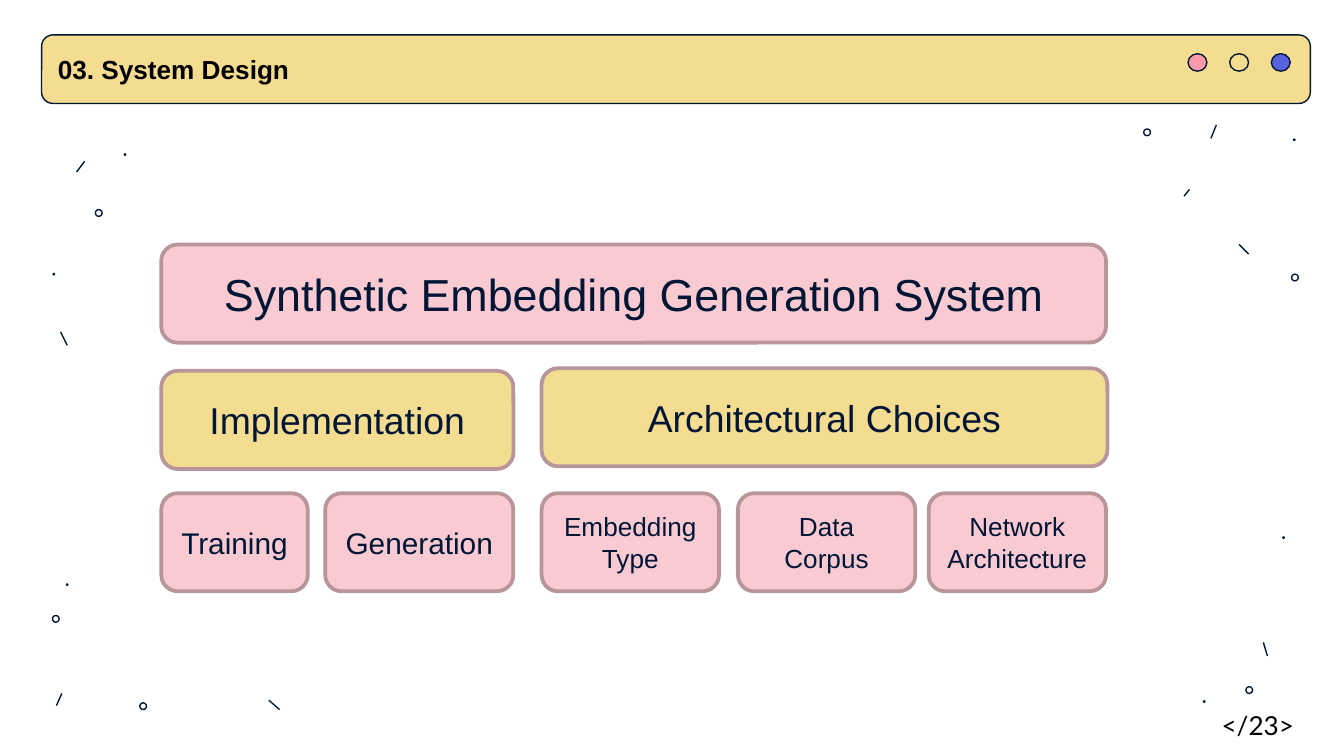
from dataclasses import dataclass

from lxml import etree
from pptx import Presentation
from pptx.dml.color import RGBColor
from pptx.enum.shapes import MSO_CONNECTOR, MSO_SHAPE
from pptx.enum.text import MSO_ANCHOR, MSO_AUTO_SIZE, PP_ALIGN
from pptx.oxml.ns import qn
from pptx.util import Pt

ROUNDED, OVAL = MSO_SHAPE.ROUNDED_RECTANGLE, MSO_SHAPE.OVAL
STRAIGHT = MSO_CONNECTOR.STRAIGHT
MIDDLE, NO_FIT = MSO_ANCHOR.MIDDLE, MSO_AUTO_SIZE.NONE
LEFT, CENTER = PP_ALIGN.LEFT, PP_ALIGN.CENTER

EMU_PER_PX = 9144  # 100 px to the inch
SLIDE_WIDTH = 1000
TITLE_ONLY = 5


@dataclass(frozen=True)
class Theme:
    ink: str = "011635"
    black: str = "000000"
    yellow: str = "F4DC90"
    pink: str = "F9CAD2"
    rose: str = "F99AAA"
    blue: str = "5863E0"
    border: str = "B8959B"
    font: str = "Arial"
    number_font: str = "Lato"
    small: int = 14
    medium: int = 16
    large: int = 20
    system: int = 24
    thin: float = 0.75
    thick: int = 2


THEME = Theme()
HEADER_BOX = (31, 26, 944, 51)
SYSTEM_BOX = (120, 182, 703, 73)
NUMBER_BOX = (899, 523, 99, 34)
LEAF_TOP, BLOCK_HEIGHT = 367, 73

# Each branch: label, box, leaf type size, leaves as (label, left, width)
BRANCHES = [
    ("Implementation", (120, 276, 262, BLOCK_HEIGHT), THEME.medium,
     [("Training", 0, 109), ("Generation", 122, 140)]),
    ("Architectural Choices", (403, 274, 421, BLOCK_HEIGHT), THEME.small,
     [("Embedding Type", 0, 132), ("Data Corpus", 146, 132),
      ("Network Architecture", 288, 132)]),
]

# Each cluster: origin, ticks as (x1, y1, x2, y2), rings and dots as (x, y)
CONFETTI = [
    ((39, 434), [(161, 87, 169, 94), (7, 82, 3, 91)], [(0, 24), (65, 89)], [(10, 0)]),
    ((39, 114), [(24, 6, 18, 14), (6, 133, 11, 143)], [(32, 42)], [(53, 0), (0, 89)]),
    ((851, 93), [(71, 89, 78, 96), (54, 0, 50, 10), (34, 48, 30, 53)],
     [(110, 111), (0, 3)], [(111, 10)]),
    ((895, 399), [(45, 79, 48, 89)], [(32, 112)], [(59, 0), (0, 122)]),
]


def px(*lengths):
    return [length * EMU_PER_PX for length in lengths]


def color(value):
    return RGBColor.from_string(value)


def add_shape(slide, kind, box, fill, line=None, width=THEME.thin):
    shape = slide.shapes.add_shape(kind, *px(*box))
    shape.shadow.inherit = False
    if fill:
        shape.fill.solid()
        shape.fill.fore_color.rgb = color(fill)
    else:
        shape.fill.background()
    if line:
        shape.line.color.rgb = color(line)
        shape.line.width = Pt(width)
    else:
        shape.line.fill.background()
    return shape


def write(shape, text, size, ink, align, font=THEME.font, bold=False):
    frame = shape.text_frame
    frame.word_wrap = True
    frame.text = text
    paragraph = frame.paragraphs[0]
    paragraph.alignment = align
    style = paragraph.runs[0].font
    style.name, style.size, style.bold = font, Pt(size), bold
    style.color.rgb = color(ink)


def add_header(slide, box, text):
    """Lay the title placeholder over a rounded bar with three buttons."""
    bar = add_shape(slide, ROUNDED, box, THEME.yellow, THEME.ink)
    title = slide.shapes.title
    bar._element.addnext(title._element)
    title.left, title.top, title.width, title.height = px(*box)
    write(title, text, THEME.small, THEME.black, LEFT, bold=True)
    frame = title.text_frame
    frame.auto_size = NO_FIT
    frame.vertical_anchor = MIDDLE
    frame.margin_left, frame.margin_top, frame.margin_right, frame.margin_bottom = px(12, 10, 12, 10)

    left, top = box[:2]
    for index, fill in enumerate((THEME.rose, THEME.yellow, THEME.blue)):
        add_shape(slide, OVAL, (left + 853 + 31 * index, top + 14, 14, 13), fill, THEME.ink)


def add_confetti(slide, origin, ticks, rings, dots):
    left, top = origin
    for x1, y1, x2, y2 in ticks:
        tick = slide.shapes.add_connector(
            STRAIGHT, *px(left + x1, top + y1, left + x2, top + y2))
        tick.line.color.rgb = color(THEME.ink)
        tick.line.width = Pt(THEME.thin)
        etree.SubElement(tick._element.spPr, qn("a:effectLst"))
    for x, y in rings:
        add_shape(slide, OVAL, (left + x, top + y, 5, 5), None, THEME.ink)
    for x, y in dots:
        add_shape(slide, OVAL, (left + x, top + y, 2, 2), THEME.ink)


def add_block(slide, box, text, fill, size):
    block = add_shape(slide, ROUNDED, box, fill, THEME.border, THEME.thick)
    write(block, text, size, THEME.ink, CENTER)
    block.text_frame.vertical_anchor = MIDDLE


def add_branch(slide, label, box, leaf_size, leaves):
    add_block(slide, box, label, THEME.yellow, THEME.large)
    for text, offset, width in leaves:
        leaf_box = (box[0] + offset, LEAF_TOP, width, BLOCK_HEIGHT)
        add_block(slide, leaf_box, text, THEME.pink, leaf_size)


def add_page_number(slide, box, text):
    number = slide.shapes.add_textbox(*px(*box))
    write(number, text, THEME.small, THEME.black, LEFT, font=THEME.number_font)


def main():
    presentation = Presentation()
    presentation.slide_width = SLIDE_WIDTH * EMU_PER_PX
    presentation.slide_height = presentation.slide_width * 9 // 16
    slide = presentation.slides.add_slide(presentation.slide_layouts[TITLE_ONLY])

    add_header(slide, HEADER_BOX, "03. System Design")
    for cluster in CONFETTI:
        add_confetti(slide, *cluster)
    add_block(slide, SYSTEM_BOX, "Synthetic Embedding Generation System",
              THEME.pink, THEME.system)
    for branch in BRANCHES:
        add_branch(slide, *branch)
    add_page_number(slide, NUMBER_BOX, "</23>")
    presentation.save("out.pptx")


if __name__ == "__main__":
    main()
